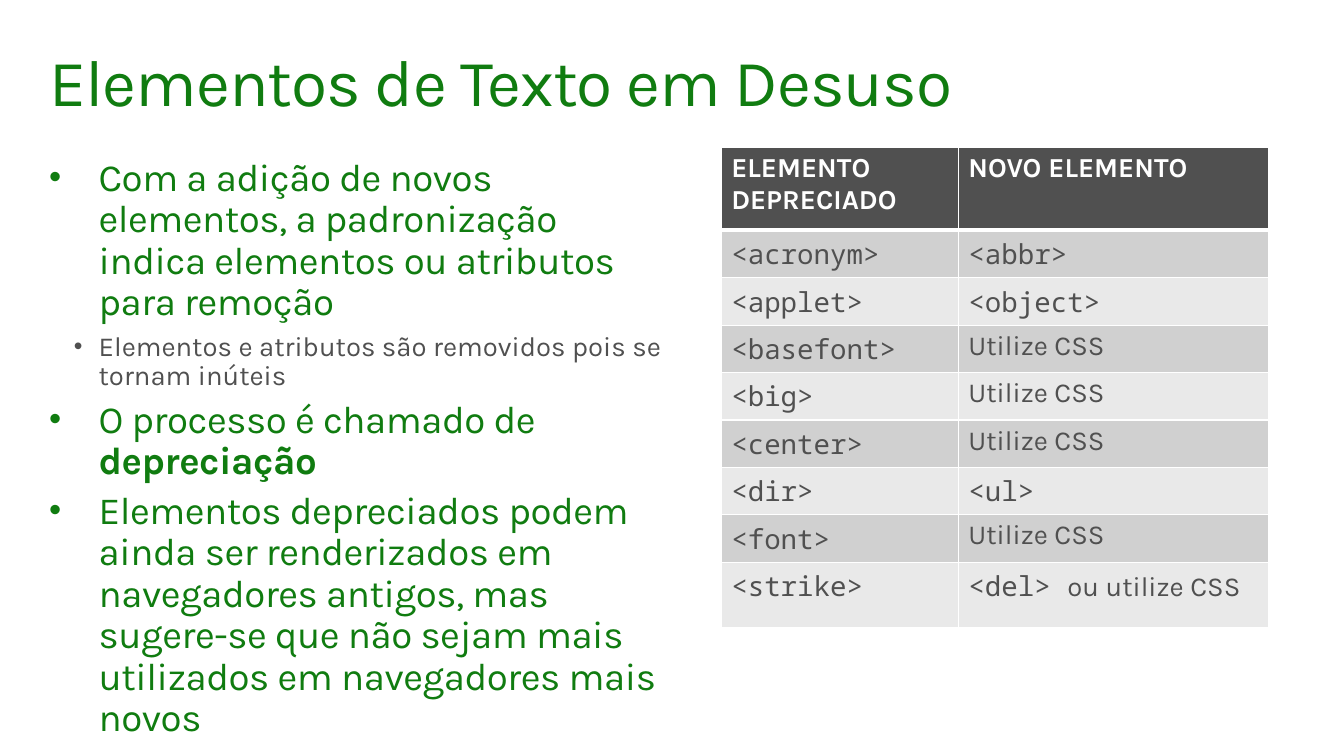
from lxml.etree import SubElement
from pptx import Presentation
from pptx.dml.color import RGBColor
from pptx.enum.text import MSO_ANCHOR, MSO_AUTO_SIZE
from pptx.oxml import parse_xml
from pptx.oxml.ns import nsdecls, qn
from pptx.util import Inches, Pt

GREEN, GRAY, WHITE = "107C10", "505050", "FFFFFF"
BANDS = ("D0D0D0", "E9E9E9")
SANS, MONO = "Karla", "Noto Sans Mono"

# Each point: level, then its runs as (text, bold)
POINTS = [
    (0, [("Com a adição de novos elementos, a padronização indica "
          "elementos ou atributos para remoção", False)]),
    (1, [("Elementos e atributos são removidos pois se tornam inúteis", False)]),
    (0, [("O processo é chamado de ", False), ("depreciação", True)]),
    (0, [("Elementos depreciados podem ainda ser renderizados em navegadores "
          "antigos, mas sugere-se que não sejam mais utilizados em "
          "navegadores mais novos", False)]),
]
# Each level: size, colour, letter spacing, hanging indent
LEVELS = [(28, GREEN, -0.3, 0.5), (20, GRAY, 0, 0.25)]

CSS = "Utilize CSS"
HEADS = ["ELEMENTO DEPRECIADO", "NOVO ELEMENTO"]
SWAPS = [
    ("<acronym>", ["<abbr>"]),
    ("<applet>", ["<object>"]),
    ("<basefont>", [CSS]),
    ("<big>", [CSS]),
    ("<center>", [CSS]),
    ("<dir>", ["<ul>"]),
    ("<font>", [CSS]),
    ("<strike>", ["<del> ", "ou utilize CSS"]),
]


def color(code):
    return RGBColor.from_string(code)


class Page:
    def __init__(self, deck):
        self.slide = deck.slides.add_slide(deck.slide_layouts[6])
        self.shapes = self.slide.shapes

    def run(self, par, text, size, tint, font=SANS, bold=False, gap=0):
        run = par.add_run()
        run.text = text
        run.font.name = font
        run.font.size = Pt(size)
        run.font.bold = bold
        run.font.color.rgb = color(tint)
        if gap:
            run.font._element.set("spc", str(round(gap * 100)))

    def box(self, left, top, width, height):
        shape = self.shapes.add_textbox(*map(Inches, (left, top, width, height)))
        frame = shape.text_frame
        frame.word_wrap = True
        frame.vertical_anchor = MSO_ANCHOR.TOP
        frame.margin_left = frame.margin_right = Inches(0.1)
        frame.margin_top = frame.margin_bottom = Inches(0.1)
        return frame

    def title(self, text, *place):
        par = self.box(*place).paragraphs[0]
        par.line_spacing = 0.9
        self.run(par, text, 48, GREEN, gap=-0.7)

    def bullet(self, par, indent):
        props = par._p.get_or_add_pPr()
        props.set("marL", str(Inches(0.5)))
        props.set("indent", str(-Inches(indent)))
        SubElement(props, qn("a:buSzPct")).set("val", "90000")
        SubElement(props, qn("a:buFont")).set("typeface", "Arial")
        SubElement(props, qn("a:buChar")).set("char", "•")

    def points(self, items, *place):
        frame = self.box(*place)
        frame.auto_size = MSO_AUTO_SIZE.SHAPE_TO_FIT_TEXT
        for i, (level, runs) in enumerate(items):
            par = frame.add_paragraph() if i else frame.paragraphs[0]
            size, tint, gap, indent = LEVELS[level]
            par.level = level
            par.line_spacing = 0.9
            par.space_before = Pt(6 if i else 0)
            self.bullet(par, indent)
            for text, bold in runs:
                self.run(par, text, size, tint, bold=bold, gap=gap)

    def border(self, cell, widths):
        props = cell._tc.get_or_add_tcPr()
        for i, (side, width) in enumerate(zip("LRTB", widths)):
            props.insert(i, parse_xml(
                f'<a:ln{side} {nsdecls("a")} w="{Pt(width)}"><a:solidFill>'
                f'<a:srgbClr val="{WHITE}"/></a:solidFill></a:ln{side}>'))

    def cell(self, cell, parts, fill, head):
        cell.fill.solid()
        cell.fill.fore_color.rgb = color(fill)
        for text in parts:
            font = MONO if text.startswith("<") else SANS
            self.run(cell.text_frame.paragraphs[0], text, 20,
                     WHITE if head else GRAY, font, head)

    def table(self, rows, left, top, cols, highs):
        place = map(Inches, (left, top, sum(cols), sum(highs)))
        table = self.shapes.add_table(len(rows), len(cols), *place).table
        for col, width in zip(table.columns, cols):
            col.width = Inches(width)
        for r, parts in enumerate(rows):
            table.rows[r].height = Inches(highs[r])
            fill = BANDS[(r - 1) % 2] if r else GRAY
            for c, texts in enumerate(parts):
                cell = table.cell(r, c)
                self.cell(cell, texts, fill, r == 0)
                # Thick rule between the head and the body
                self.border(cell, (1, 1, 3 if r == 1 else 1, 1 if r else 3))


def main():
    deck = Presentation()
    deck.slide_width, deck.slide_height = Inches(13.6), Inches(7.65)
    page = Page(deck)

    # Title and bullet points
    page.title("Elementos de Texto em Desuso", 0.4, 0.4, 12.8, 1)
    page.points(POINTS, 0.4, 1.5, 6.4, 5.3)

    # Table of deprecated elements
    rows = [[[head] for head in HEADS]] + [[[old], new] for old, new in SWAPS]
    page.table(rows, 7.3, 1.49, (2.4, 3.14), [0.84] + [0.48] * 7 + [0.66])

    deck.save("out.pptx")


if __name__ == "__main__":
    main()
